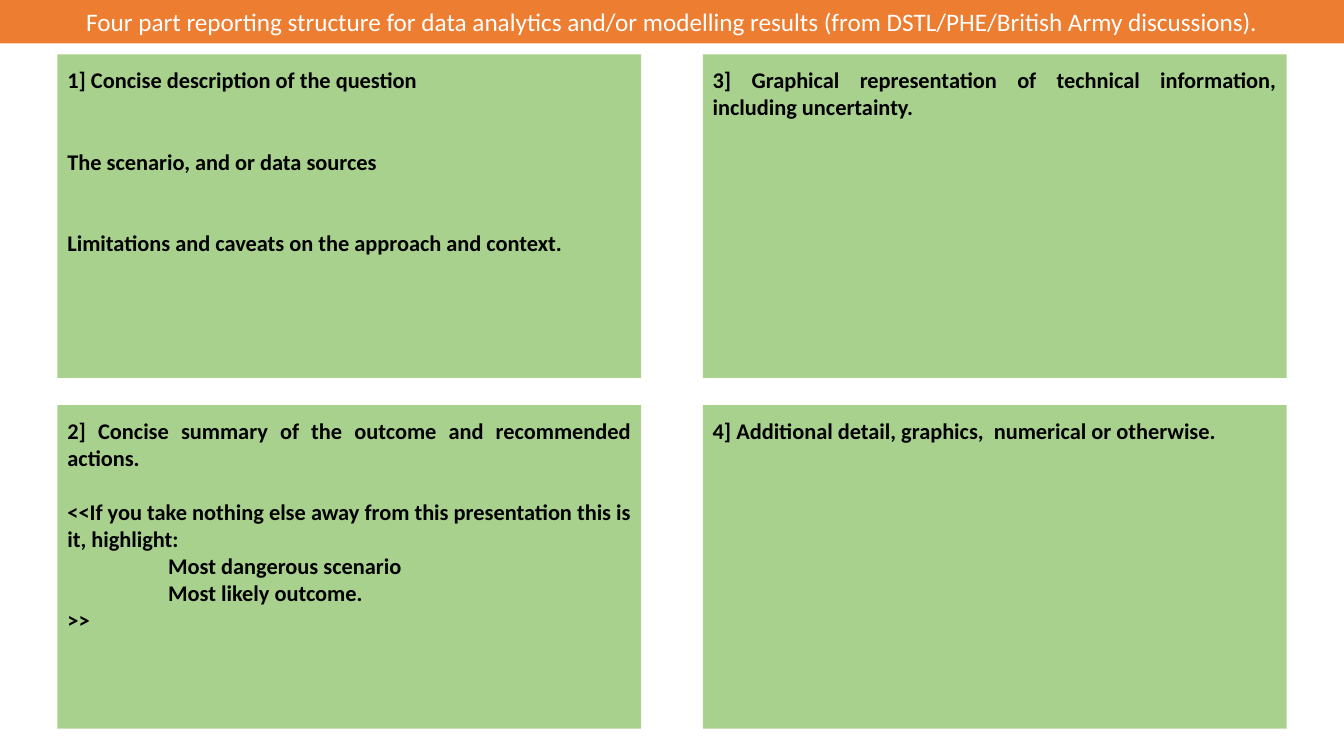
from dataclasses import dataclass

from pptx import Presentation
from pptx.dml.color import RGBColor
from pptx.enum.shapes import MSO_SHAPE
from pptx.enum.text import MSO_ANCHOR, MSO_AUTO_SIZE, PP_ALIGN
from pptx.util import Inches, Pt

RECTANGLE = MSO_SHAPE.RECTANGLE
TOP, MIDDLE = MSO_ANCHOR.TOP, MSO_ANCHOR.MIDDLE
CENTER, JUSTIFY = PP_ALIGN.CENTER, PP_ALIGN.JUSTIFY
NO_AUTOFIT = MSO_AUTO_SIZE.NONE


@dataclass(frozen=True)
class Theme:
    font: str = "Calibri"
    banner: RGBColor = RGBColor(0xED, 0x7D, 0x31)
    panel: RGBColor = RGBColor(0xA9, 0xD1, 0x8E)
    light: RGBColor = RGBColor(0xFF, 0xFF, 0xFF)
    dark: RGBColor = RGBColor(0, 0, 0)
    title_size: float = 18
    body_size: float = 16
    body_line: float = 19.5


THEME = Theme()
SLIDE_WIDTH, SLIDE_HEIGHT = 13.33, 7.5
BANNER_HEIGHT = 0.43
GRID_LEFT, GRID_TOP = 0.57, 0.54
PANEL_WIDTH, PANEL_HEIGHT = 5.79, 3.21
COLUMN_STEP, ROW_STEP = 6.4, 3.48

TITLE = ("Four part reporting structure for data analytics and/or modelling results "
         "(from DSTL/PHE/British Army discussions).")

# Each paragraph: text, lines of space before it, left indent in inches.
# Panels run down the first column, then down the second.
PANELS = [
    [("1] Concise description of the question", 0, 0),
     ("The scenario, and or data sources", 2, 0),
     ("Limitations and caveats on the approach and context.", 2, 0)],
    [("2] Concise summary of the outcome and recommended actions.", 0, 0),
     ("<<If you take nothing else away from this presentation this is it, highlight:", 1, 0),
     ("Most dangerous scenario", 0, 1),
     ("Most likely outcome.", 0, 1),
     (">>", 0, 0)],
    [("3] Graphical representation of technical information, including uncertainty.", 0, 0)],
    [("4] Additional detail, graphics,  numerical or otherwise.", 0, 0)],
]


def write_text(paragraph, text, *, size, color, bold=False, align=JUSTIFY,
               lines_before=0, indent=0):
    paragraph.text = text
    paragraph.alignment = align
    paragraph.space_before = Pt(lines_before * THEME.body_line)
    if indent:
        paragraph._p.get_or_add_pPr().set("marL", str(Inches(indent)))
    paragraph.font.name = THEME.font
    paragraph.font.size = Pt(size)
    paragraph.font.bold = bold
    paragraph.font.color.rgb = color


def add_banner(slide, left, top, width, height):
    title = slide.shapes.title
    title.left, title.top = Inches(left), Inches(top)
    title.width, title.height = Inches(width), Inches(height)
    title.fill.solid()
    title.fill.fore_color.rgb = THEME.banner
    frame = title.text_frame
    frame.auto_size = NO_AUTOFIT
    frame.vertical_anchor = MIDDLE
    write_text(frame.paragraphs[0], TITLE, size=THEME.title_size,
               color=THEME.light, align=CENTER)


def add_panel(slide, left, top, width, height, content):
    panel = slide.shapes.add_shape(RECTANGLE, Inches(left), Inches(top),
                                   Inches(width), Inches(height))
    panel.shadow.inherit = False
    panel.fill.solid()
    panel.fill.fore_color.rgb = THEME.panel
    panel.line.fill.background()
    frame = panel.text_frame
    frame.word_wrap = True
    frame.vertical_anchor = TOP
    frame.margin_top = Inches(0.12)
    for index, (text, lines_before, indent) in enumerate(content):
        paragraph = frame.add_paragraph() if index else frame.paragraphs[0]
        write_text(paragraph, text, size=THEME.body_size, color=THEME.dark,
                   bold=True, lines_before=lines_before, indent=indent)


def add_panel_grid(slide, left, top):
    for index, content in enumerate(PANELS):
        column, row = divmod(index, 2)
        add_panel(slide, left + column * COLUMN_STEP, top + row * ROW_STEP,
                  PANEL_WIDTH, PANEL_HEIGHT, content)


def main():
    presentation = Presentation()
    presentation.slide_width = Inches(SLIDE_WIDTH)
    presentation.slide_height = Inches(SLIDE_HEIGHT)
    title_only = presentation.slide_layouts[5]
    slide = presentation.slides.add_slide(title_only)

    # Title banner across the top
    add_banner(slide, 0, 0, SLIDE_WIDTH, BANNER_HEIGHT)
    # Four report parts, two by two
    add_panel_grid(slide, GRID_LEFT, GRID_TOP)

    presentation.save("out.pptx")


if __name__ == "__main__":
    main()
